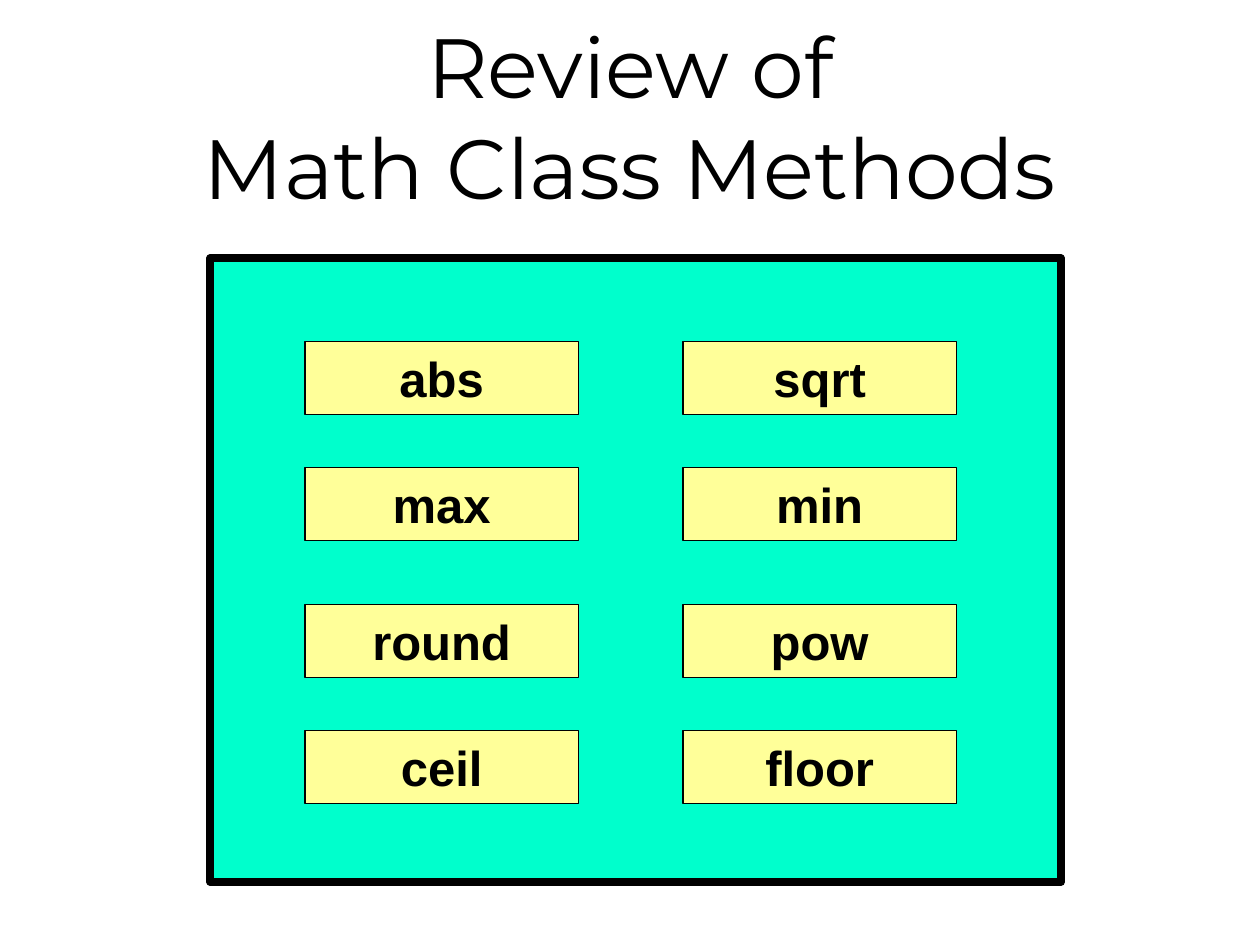
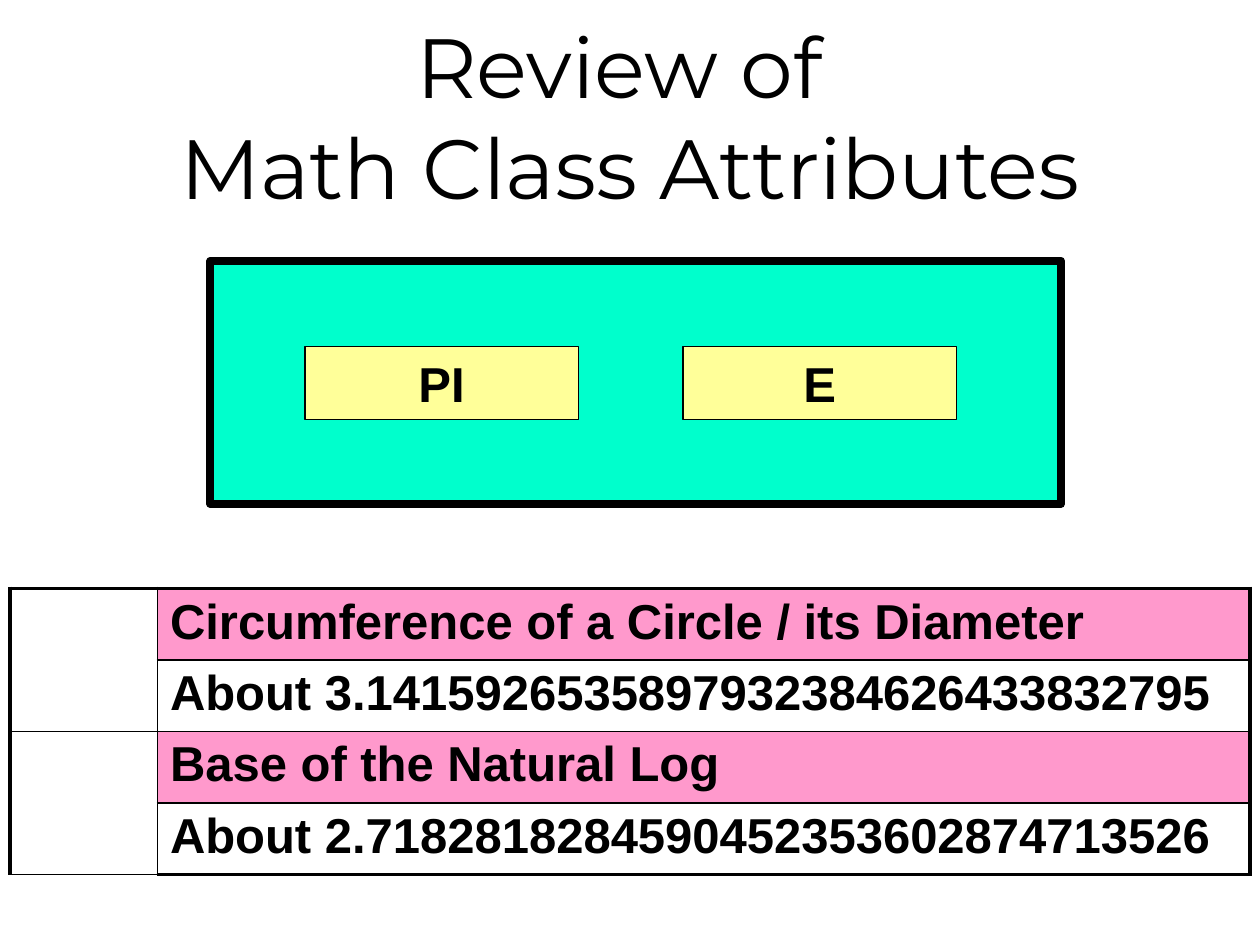
from itertools import product

from lxml.etree import SubElement
from pptx import Presentation
from pptx.dml.color import RGBColor
from pptx.enum.shapes import MSO_SHAPE
from pptx.enum.text import MSO_ANCHOR, MSO_AUTO_SIZE, PP_ALIGN
from pptx.oxml.ns import qn
from pptx.util import Inches, Pt

COLOURS = {"ink": "000000", "panel": "00FFCC", "label": "FFFF99", "heading": "FF99CC"}
TITLE_FONT = {"name": "Montserrat", "size": Pt(48), "bold": False}
LABEL_FONT = {"name": "Arial", "size": Pt(28), "bold": True}
TITLE_FRAME = {"word_wrap": True, "auto_size": MSO_AUTO_SIZE.NONE,
               "vertical_anchor": MSO_ANCHOR.MIDDLE}
CELL_FRAME = {"margin_left": Inches(0.1), "margin_right": Inches(0.1),
              "margin_top": Inches(0.05), "margin_bottom": Inches(0.05),
              "vertical_anchor": MSO_ANCHOR.TOP}
LABEL_SIZE = (2.17, 0.58)
LABEL_COLUMNS = (0.75, 3.75)
THIN, THICK = 1, 2.25


def colour(name):
    """Return the named colour."""
    return RGBColor.from_string(COLOURS[name])


def set_attributes(target, values):
    """Set every attribute in a dict of format values."""
    for name, value in values.items():
        setattr(target, name, value)


def write_text(text_frame, text, font, alignment):
    """Write one formatted paragraph."""
    text_frame.text = text
    paragraph = text_frame.paragraphs[0]
    paragraph.alignment = alignment
    for run in paragraph.runs:
        set_attributes(run.font, font)
        run.font.color.rgb = colour("ink")


def add_titled_slide(presentation, title):
    """Add a slide with a centred title across its top."""
    slide = presentation.slides.add_slide(presentation.slide_layouts[5])
    shape = slide.shapes.title
    set_attributes(shape, {"left": 0, "top": 0, "width": Inches(10), "height": Inches(1.83)})
    set_attributes(shape.text_frame, TITLE_FRAME)
    write_text(shape.text_frame, title, TITLE_FONT, PP_ALIGN.CENTER)
    return slide


def add_box(shapes, box, fill, line_width):
    """Add a filled and outlined rectangle."""
    shape = shapes.add_shape(MSO_SHAPE.RECTANGLE, *map(Inches, box))
    shape.shadow.inherit = False
    shape.fill.solid()
    shape.fill.fore_color.rgb = colour(fill)
    shape.line.color.rgb = colour("ink")
    shape.line.width = Pt(line_width)
    return shape


def add_member_panel(slide, box, rows, row_offsets):
    """Add a panel holding a grid of member names."""
    group = slide.shapes.add_group_shape()
    left, top = box[:2]
    add_box(group.shapes, box, "panel", 4.5)
    for names, row_offset in zip(rows, row_offsets):
        for name, column_offset in zip(names, LABEL_COLUMNS):
            position = (left + column_offset, top + row_offset)
            label = add_box(group.shapes, position + LABEL_SIZE, "label", 0.75)
            write_text(label.text_frame, name, LABEL_FONT, PP_ALIGN.CENTER)


def set_borders(cell, widths):
    """Draw the left, right, top and bottom borders of a cell."""
    properties = cell._tc.get_or_add_tcPr()
    for index, (side, width) in enumerate(zip("LRTB", widths)):
        line = SubElement(properties, qn(f"a:ln{side}"), w=str(Pt(width)))
        SubElement(SubElement(line, qn("a:solidFill")), qn("a:srgbClr"), val=COLOURS["ink"])
        properties.insert(index, line)


def add_constant_table(slide, box, column_widths, constants):
    """Add a table with a heading and a value for each constant."""
    lines = [line for constant in constants for line in constant]
    row_count, column_count = len(lines), len(column_widths)
    table = slide.shapes.add_table(row_count, column_count, *map(Inches, box)).table
    set_attributes(table, {"first_row": False, "horz_banding": False})
    for column, width in zip(table.columns, column_widths):
        column.width = Inches(width)
    for row, column in product(range(row_count), range(column_count)):
        cell = table.cell(row, column)
        cell.fill.background()
        edges = (column == 0, column == column_count - 1, row == 0, row == row_count - 1)
        set_borders(cell, [THICK if edge else THIN for edge in edges])
    for row, line in enumerate(lines):
        cell = table.cell(row, 1)
        set_attributes(cell, CELL_FRAME)
        write_text(cell.text_frame, line, LABEL_FONT, PP_ALIGN.LEFT)
        if row % 2 == 0:
            cell.fill.solid()
            cell.fill.fore_color.rgb = colour("heading")
            table.cell(row, 0).merge(table.cell(row + 1, 0))


def build_methods_slide(presentation):
    """Build the review of the methods."""
    slide = add_titled_slide(presentation, "Review of\vMath Class Methods")
    methods = [("abs", "sqrt"), ("max", "min"), ("round", "pow"), ("ceil", "floor")]
    add_member_panel(slide, (1.67, 2.05, 6.75, 4.95), methods, (0.66, 1.66, 2.75, 3.75))


def build_attributes_slide(presentation):
    """Build the review of the attributes."""
    slide = add_titled_slide(presentation, "Review of \vMath Class Attributes")
    add_member_panel(slide, (1.67, 2.07, 6.75, 1.93), [("PI", "E")], (0.68,))
    constants = [
        ("Circumference of a Circle / its Diameter", "About 3.1415926535897932384626433832795"),
        ("Base of the Natural Log", "About 2.7182818284590452353602874713526"),
    ]
    add_constant_table(slide, (0.08, 4.67, 9.83, 2.27), (1.17, 8.67), constants)


def main():
    """Build and save the presentation."""
    presentation = Presentation()
    set_attributes(presentation, {"slide_width": Inches(10), "slide_height": Inches(7.5)})
    build_methods_slide(presentation)
    build_attributes_slide(presentation)
    presentation.save("out.pptx")


main()
